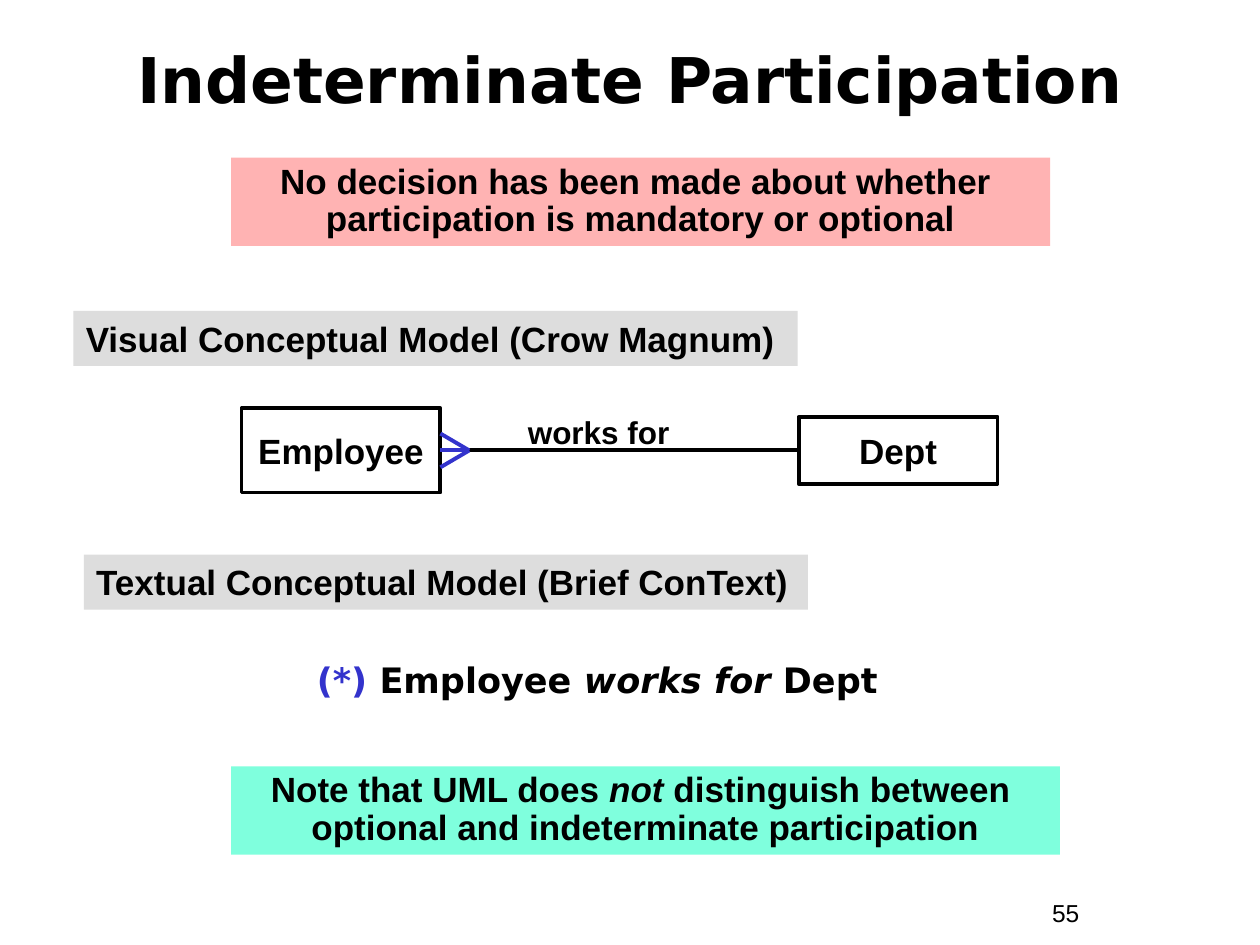
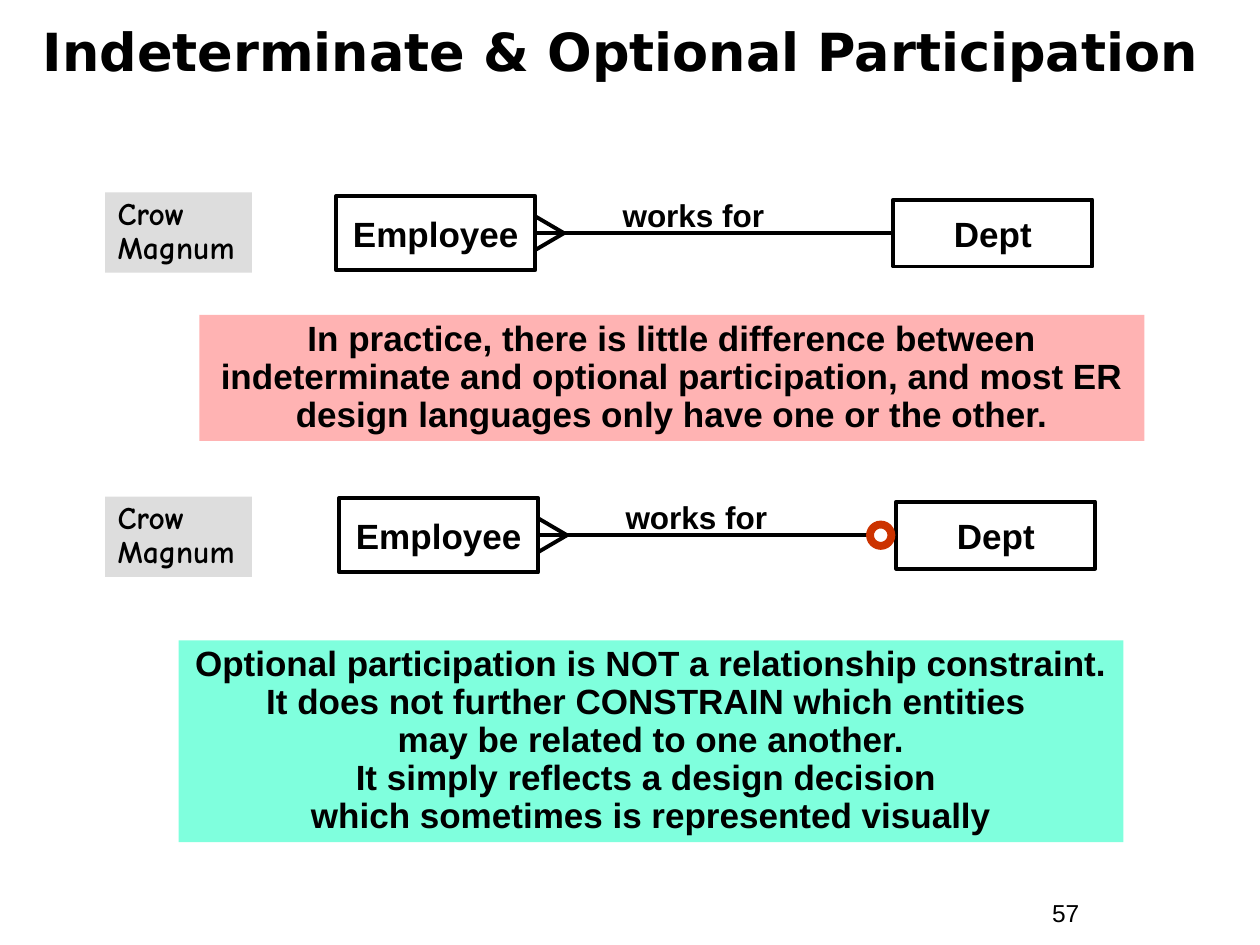
from pptx import Presentation
from pptx.dml.color import RGBColor
from pptx.enum.shapes import MSO_CONNECTOR, MSO_SHAPE
from pptx.enum.text import MSO_ANCHOR, PP_ALIGN
from pptx.oxml.ns import qn
from pptx.util import Cm, Pt
from lxml import etree

STRAIGHT = MSO_CONNECTOR.STRAIGHT
RECTANGLE, OVAL = MSO_SHAPE.RECTANGLE, MSO_SHAPE.OVAL
TOP, MIDDLE = MSO_ANCHOR.TOP, MSO_ANCHOR.MIDDLE
LEFT, CENTER = PP_ALIGN.LEFT, PP_ALIGN.CENTER

COLORS = {
    "ink": "000000",
    "foot": "3333CC",
    "optional": "CC3300",
    "label": "DDDDDD",
    "statement": "FFB3B3",
    "note": "7FFFDD",
}
BODY_FONT, TITLE_FONT, HAND_FONT = "Arial", "DejaVu Sans", "Comic Neue"

ENTITY_WIDTH, DEPT_HEIGHT = 4.01, 1.35
DEPT_OFFSET = 11.23
FOOT_LENGTH, FOOT_SPREAD = 0.58, 0.34
RING_SIZE, RING_OFFSET = 0.43, 0.53
OUTLINE = 2.25


def color(name):
    return RGBColor.from_string(COLORS[name])


def write(shape, lines, size=20, font=BODY_FONT, bold=True, align=LEFT,
          anchor=TOP, spacing=None, wrap=True):
    """Fill a shape with lines; a line is a string or a list of (text, style) runs."""
    frame = shape.text_frame
    frame.word_wrap = wrap
    frame.vertical_anchor = anchor
    paragraph = frame.paragraphs[0]
    paragraph.alignment = align
    if spacing:
        paragraph.line_spacing = spacing
    paragraph.font.size = Pt(size)
    paragraph.font.name = font
    paragraph.font.bold = bold
    paragraph.font.color.rgb = color("ink")
    for index, line in enumerate(lines):
        if index:
            paragraph.add_line_break()
        for text, style in [(line, "")] if isinstance(line, str) else line:
            run = paragraph.add_run()
            run.text = text
            if style == "italic":
                run.font.italic = True
            elif style:
                run.font.color.rgb = color(style)


def add_text(slide, box, lines, **style):
    write(slide.shapes.add_textbox(*map(Cm, box)), lines, **style)


def add_figure(slide, kind, box, fill=None, line=None, weight=OUTLINE):
    figure = slide.shapes.add_shape(kind, *map(Cm, box))
    figure.shadow.inherit = False
    if fill:
        figure.fill.solid()
        figure.fill.fore_color.rgb = color(fill)
    else:
        figure.fill.background()
    if line:
        figure.line.color.rgb = color(line)
        figure.line.width = Pt(weight)
    else:
        figure.line.fill.background()
    return figure


def add_line(slide, start, end, line="ink"):
    connector = slide.shapes.add_connector(STRAIGHT, *map(Cm, (*start, *end)))
    connector.line.color.rgb = color(line)
    connector.line.width = Pt(OUTLINE)
    etree.SubElement(connector._element.spPr, qn("a:effectLst"))


def add_callout(slide, box, lines, fill):
    write(add_figure(slide, RECTANGLE, box, fill=fill), lines,
          align=CENTER, spacing=0.9)


def add_heading(slide, left, top, text):
    write(add_figure(slide, RECTANGLE, (left, top, 14.6, 1.11), fill="label"), [text])


def add_notation(slide, left, top):
    tag = add_figure(slide, RECTANGLE, (left, top, 2.96, 1.62), fill="label")
    write(tag, ["Crow", "Magnum"], size=18, font=HAND_FONT, spacing=0.9)


def add_entity(slide, left, axis, height, name):
    box = (left, axis - height / 2, ENTITY_WIDTH, height)
    write(add_figure(slide, RECTANGLE, box, line="ink"), [name],
          align=CENTER, anchor=MIDDLE, wrap=False)


def add_relationship(slide, left, axis, employee_height=1.5, foot="ink", optional=False):
    """Employee, crow's foot and Dept, centred on a horizontal axis."""
    dept_left = left + DEPT_OFFSET
    foot_left = left + ENTITY_WIDTH
    tip = (foot_left + FOOT_LENGTH, axis)
    ring_left = dept_left - RING_OFFSET

    add_entity(slide, dept_left, axis, DEPT_HEIGHT, "Dept")
    add_entity(slide, left, axis, employee_height, "Employee")
    line_end = ring_left + 0.08 if optional else dept_left
    add_line(slide, (line_end, axis), (foot_left, axis))
    for spread in (-FOOT_SPREAD, FOOT_SPREAD):
        add_line(slide, tip, (foot_left, axis + spread), foot)
    if foot != "ink":
        add_line(slide, (foot_left, axis), tip, foot)
    if optional:
        add_figure(slide, OVAL, (ring_left, axis - RING_SIZE / 2, RING_SIZE, RING_SIZE),
                   line="optional", weight=4.5)
    add_text(slide, (left + 5.08, axis - 0.88, 4.24, 1.02), ["works for"],
             size=18, align=CENTER)


def new_slide(deck, title, title_box, title_size, number, title_spacing=None):
    slide = deck.slides.add_slide(deck.slide_layouts[6])
    add_text(slide, (20.96, 17.98, 2.34, 0.86), [number], size=14, bold=False)
    add_text(slide, title_box, [title], size=title_size, font=TITLE_FONT,
             align=CENTER, anchor=MIDDLE, spacing=title_spacing)
    return slide


def build_indeterminate(deck):
    slide = new_slide(deck, "Indeterminate Participation",
                      (0.85, 0.41, 23.7, 2.34), 36, "55")
    add_callout(slide, (4.66, 3.18, 16.51, 1.78),
                ["No decision has been made about whether ",
                 "participation is mandatory or optional"], "statement")
    add_heading(slide, 1.48, 6.27, "Visual Conceptual Model (Crow Magnum)")
    add_relationship(slide, 4.87, 9.08, employee_height=1.7, foot="foot")
    add_heading(slide, 1.69, 11.18, "Textual Conceptual Model (Brief ConText)")
    add_text(slide, (6.14, 13.16, 12.9, 1.11),
             [[("(*)", "foot"), (" Employee ", ""), ("works for", "italic"),
               (" Dept", "")]], font=TITLE_FONT)
    add_callout(slide, (4.66, 15.45, 16.71, 1.78),
                [[("Note that UML does ", ""), ("not", "italic"),
                  (" distinguish between ", "")],
                 "optional and indeterminate participation"], "note")


def build_comparison(deck):
    slide = new_slide(deck, "Indeterminate & Optional Participation ",
                      (0.42, 0.2, 24.56, 1.83), 30, "57", title_spacing=0.85)
    add_notation(slide, 2.12, 3.88)
    add_relationship(slide, 6.78, 4.7)
    add_callout(slide, (4.02, 6.35, 19.05, 2.54),
                ["In practice, there is little difference between indeterminate and "
                 "optional participation, and most ER design languages only have "
                 "one or the other."], "statement")
    add_notation(slide, 2.12, 10.01)
    add_relationship(slide, 6.84, 10.79, optional=True)
    add_callout(slide, (3.6, 12.91, 19.05, 4.07),
                ["Optional participation is NOT a relationship constraint.",
                 "It does not further CONSTRAIN which entities ",
                 "may be related to one another.",
                 "It simply reflects a design decision ",
                 "which sometimes is represented visually"], "note")


def main():
    deck = Presentation()
    deck.slide_width, deck.slide_height = Cm(25.4), Cm(19.05)
    build_indeterminate(deck)
    build_comparison(deck)
    deck.save("out.pptx")


if __name__ == "__main__":
    main()
